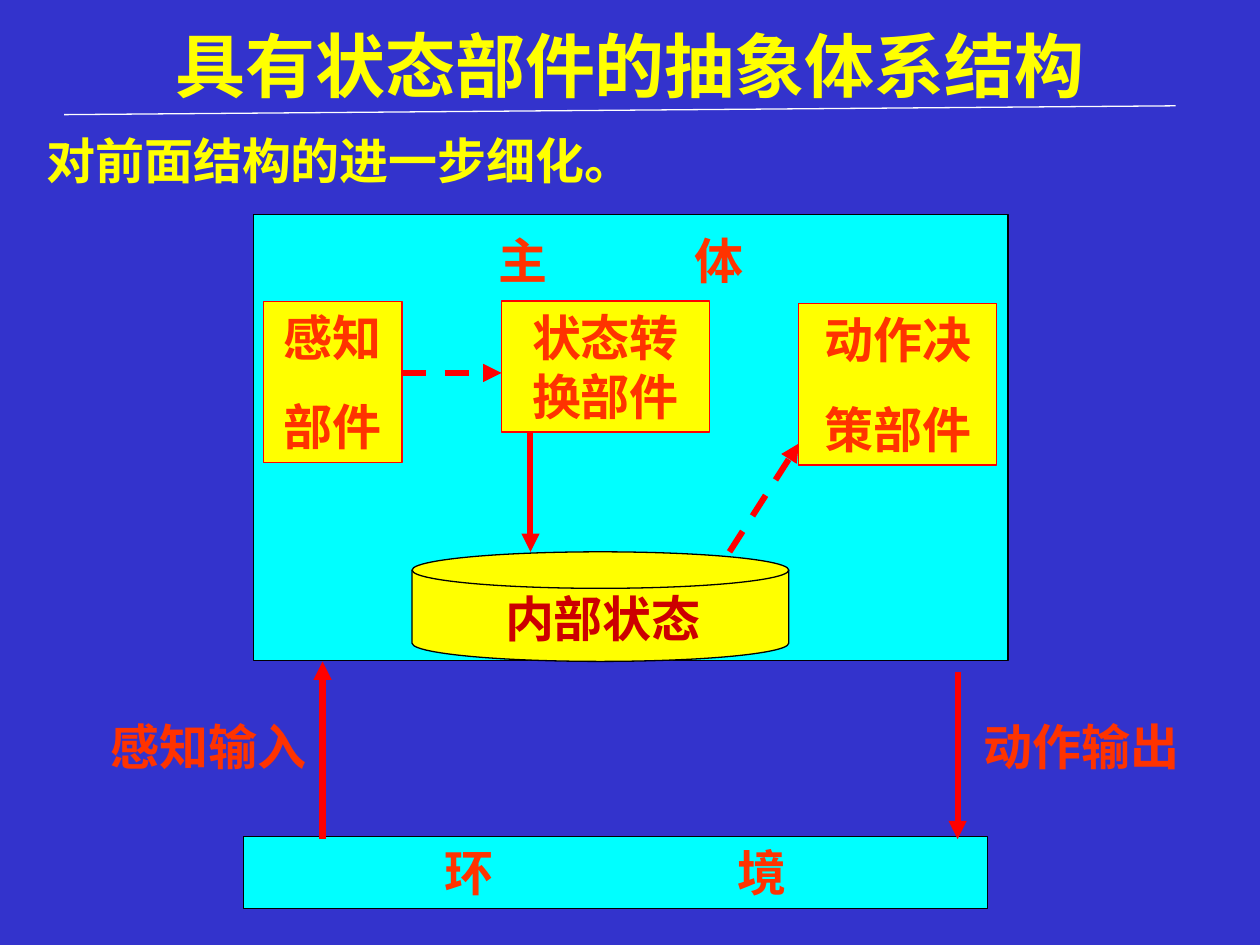
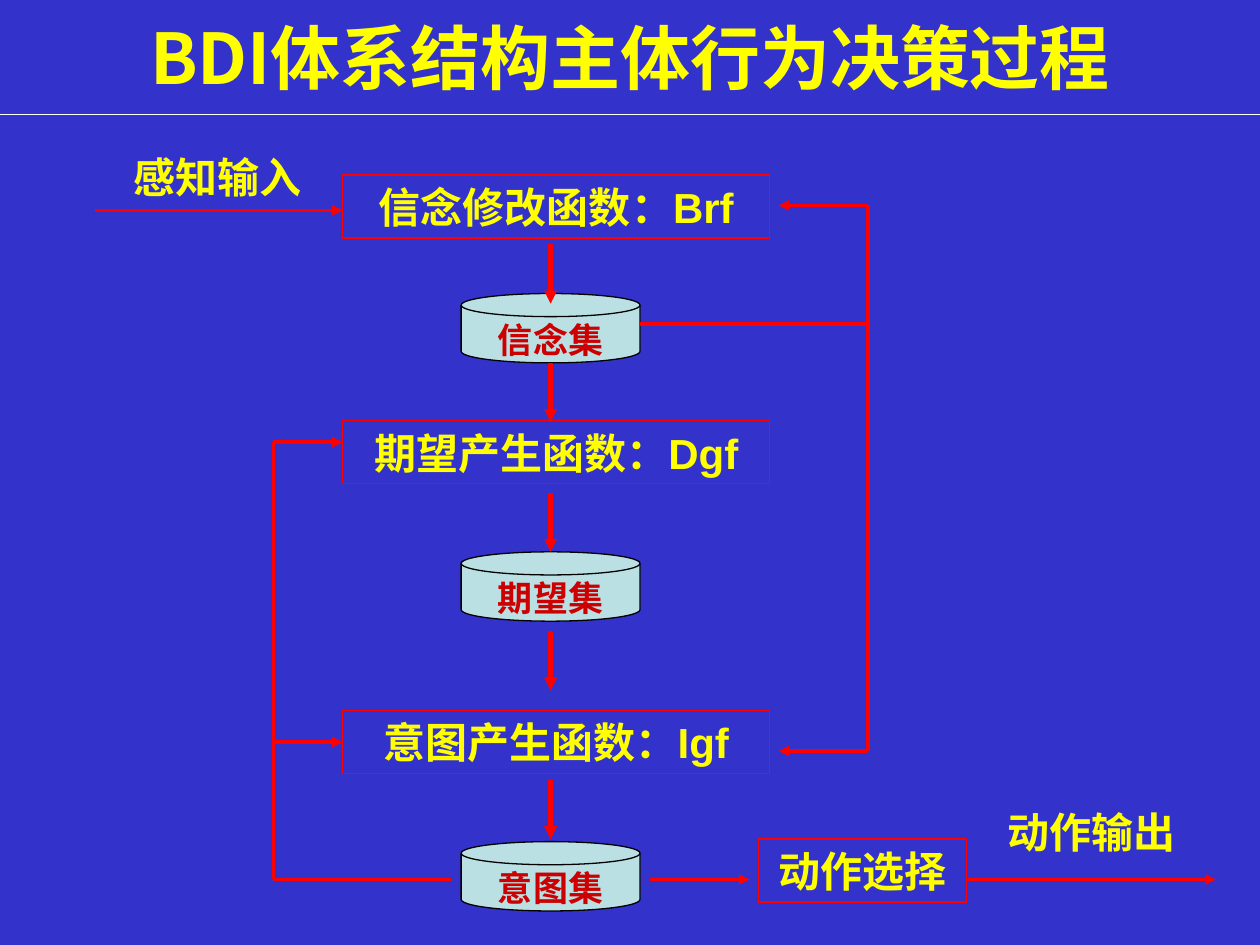
from lxml.etree import SubElement
from pptx import Presentation
from pptx.dml.color import RGBColor
from pptx.enum.dml import MSO_LINE
from pptx.enum.shapes import MSO_CONNECTOR, MSO_SHAPE
from pptx.enum.text import MSO_ANCHOR, PP_ALIGN
from pptx.oxml.ns import qn
from pptx.util import Inches, Pt

COLS, ROWS = 100, 75
UNIT = Inches(0.1)
HAN = "Noto Sans CJK SC"
HUES = {
    "back": "3333CC",
    "gold": "FFFF00",
    "cyan": "00FFFF",
    "pale": "BBE0E3",
    "red": "FF0000",
    "warm": "FF3300",
    "dark": "CC0000",
    "black": "000000",
    "white": "FFFFFF",
}


def hue(name):
    return RGBColor.from_string(HUES[name])


def grid(*cells):
    return [round(cell * UNIT) for cell in cells]


def write(shape, text, size, color, face="Arial", gap=0, align=PP_ALIGN.CENTER):
    frame = shape.text_frame
    frame.word_wrap = True
    frame.vertical_anchor = MSO_ANCHOR.TOP
    frame.text = text
    for index, para in enumerate(frame.paragraphs):
        para.alignment = align
        if index:
            para.space_before = Pt(size * 0.625)
        font = para.font
        font.size, font.bold, font.name = Pt(size), True, face
        font.color.rgb = hue(color)
        props = para._p.pPr.find(qn("a:defRPr"))
        SubElement(props, qn("a:ea"), typeface=HAN)
        if gap:
            props.set("spc", str(gap * size * 100))


def label(slide, area, text, size, color, **style):
    box = slide.shapes.add_textbox(*grid(*area))
    write(box, text, size, color, **style)
    return box


def block(slide, area, fill, edge, kind=MSO_SHAPE.RECTANGLE):
    shape = slide.shapes.add_shape(kind, *grid(*area))
    shape.shadow.inherit = False
    if fill:
        shape.fill.solid()
        shape.fill.fore_color.rgb = hue(fill)
    else:
        shape.fill.background()
    shape.line.color.rgb = hue(edge)
    shape.line.width = Pt(0.75)
    return shape


def part(slide, area, text, size=28, color="warm", fill="gold", edge="red", gap=0):
    shape = block(slide, area, fill, edge)
    write(shape, text, size, color, gap=gap)
    return shape


def disk(slide, area, fill):
    return block(slide, area, fill, "black", MSO_SHAPE.FLOWCHART_MAGNETIC_DISK)


def line(slide, ends, width, color="red", head=True, dash=False):
    link = slide.shapes.add_connector(MSO_CONNECTOR.STRAIGHT, *grid(*ends))
    link.line.color.rgb = hue(color)
    link.line.width = Pt(width)
    if dash:
        link.line.dash_style = MSO_LINE.DASH
    if head:
        SubElement(link.line._get_or_add_ln(), qn("a:tailEnd"), type="triangle")
    SubElement(link._element.spPr, qn("a:effectLst"))
    return link


def page(deck, title, area, rule, face="Arial"):
    slide = deck.slides.add_slide(deck.slide_layouts[6])
    slide.background.fill.solid()
    slide.background.fill.fore_color.rgb = hue("back")
    box = label(slide, area, title, 40, "gold", face=face)
    box.text_frame.vertical_anchor = MSO_ANCHOR.MIDDLE
    line(slide, rule, 0.75, "white", head=False)
    return slide


def point(slide, area, text):
    box = slide.shapes.add_textbox(*grid(*area))
    props = box.text_frame.paragraphs[0]._p.get_or_add_pPr()
    props.set("marL", str(Inches(0.38)))
    props.set("indent", str(-Inches(0.38)))
    tint = SubElement(props, qn("a:buClr"))
    SubElement(tint, qn("a:srgbClr"), val=HUES["gold"])
    SubElement(props, qn("a:buFont"), typeface="Arial")
    SubElement(props, qn("a:buChar"), char="•")
    write(box, text, 28, "gold", align=PP_ALIGN.LEFT)


def state(deck):
    slide = page(deck, "具有状态部件的抽象体系结构",
                 (5, 1.3, 90, 7.7), (5.1, 9.1, 93.3, 8.4))
    point(slide, (2.7, 9.9, 95.3, 6.3), "对前面结构的进一步细化。")
    block(slide, (20.1, 17, 59.9, 35.4), "cyan", "black")
    label(slide, (34.3, 17.8, 29.9, 5.7), "主体", 28, "warm", gap=3)
    part(slide, (19.3, 66.4, 59.1, 5.7), "环境", fill="cyan", edge="black", gap=5)
    for area, text in (
        ((20.9, 23.9, 11, 12.8), "感知\n部件"),
        ((39.8, 23.9, 16.5, 10.4), "状态转换部件"),
        ((63.4, 24.1, 15.7, 12.8), "动作决\n策部件"),
    ):
        part(slide, area, text)
    disk(slide, (32.7, 43.8, 29.9, 8.7), "gold")
    label(slide, (38.2, 46.2, 19.3, 5.7), "内部状态", 28, "dark")
    for left, text in ((7.5, "感知输入"), (76.8, "动作输出")):
        label(slide, (left, 56.4, 18.1, 5.7), text, 28, "warm")
    for ends, dash in (
        ((25.6, 66.6, 25.6, 52.5), False),
        ((76, 53.3, 76, 66.6), False),
        ((31.9, 29.6, 39.8, 29.6), True),
        ((42.1, 34.4, 42.1, 43.8), False),
        ((57.9, 43.8, 63.4, 35.2), True),
    ):
        line(slide, ends, 3.5, dash=dash)


def choice(deck):
    slide = page(deck, "BDI体系结构主体行为决策过程",
                 (5, 3, 90, 3), (0, 9.1, COLS, 9.1), HAN)
    boxes = []
    for top, low, task, name in (
        (13.9, 23.3, "信念修改函数：Brf", "信念集"),
        (33.4, 43.8, "期望产生函数：Dgf", "期望集"),
        (56.4, 66.8, "意图产生函数：Igf", "意图集"),
    ):
        boxes.append(part(slide, (27.2, top, 33.9, 5), task, 24, "gold", None))
        disk(slide, (36.6, low, 14.2, 5.5), "pale")
        label(slide, (37.4, low + 1.5, 12.6, 4.4), name, 20, "dark")
    for top in (19.4, 28.8, 39.1, 50.1, 61.9):
        line(slide, (43.7, top, 43.7, top + 4.7), 2.5)

    part(slide, (60.2, 66.6, 16.5, 5), "动作选择", 24, "gold", None)
    for left, top, text in ((9, 11.5, "感知输入"), (78.4, 63.5, "动作输出")):
        label(slide, (left, top, 16.5, 5), text, 24, "gold")

    near, far, base = 21.7, 68.9, 69.8
    for ends in (
        (far, 16.3, far, 59.6),
        (50.8, 25.7, far, 25.7),
        (near, 35.1, near, base),
        (near, base, 35.8, base),
    ):
        line(slide, ends, 2, head=False)
    for ends in (
        (7.5, 16.7, 27.2, 16.7),
        (far, 16.3, 61.8, 16.3),
        (far, 59.6, 61.8, 59.6),
        (near, 35.1, 27.2, 35.1),
        (51.6, base, 59.5, base),
        (76.8, base, 96.5, base),
    ):
        line(slide, ends, 2)
    line(slide, (near, 58.9, 27.2, 58.9), 2).end_connect(boxes[2], 1)


def main():
    deck = Presentation()
    deck.slide_width, deck.slide_height = grid(COLS, ROWS)
    state(deck)
    choice(deck)
    deck.save("out.pptx")


if __name__ == "__main__":
    main()
